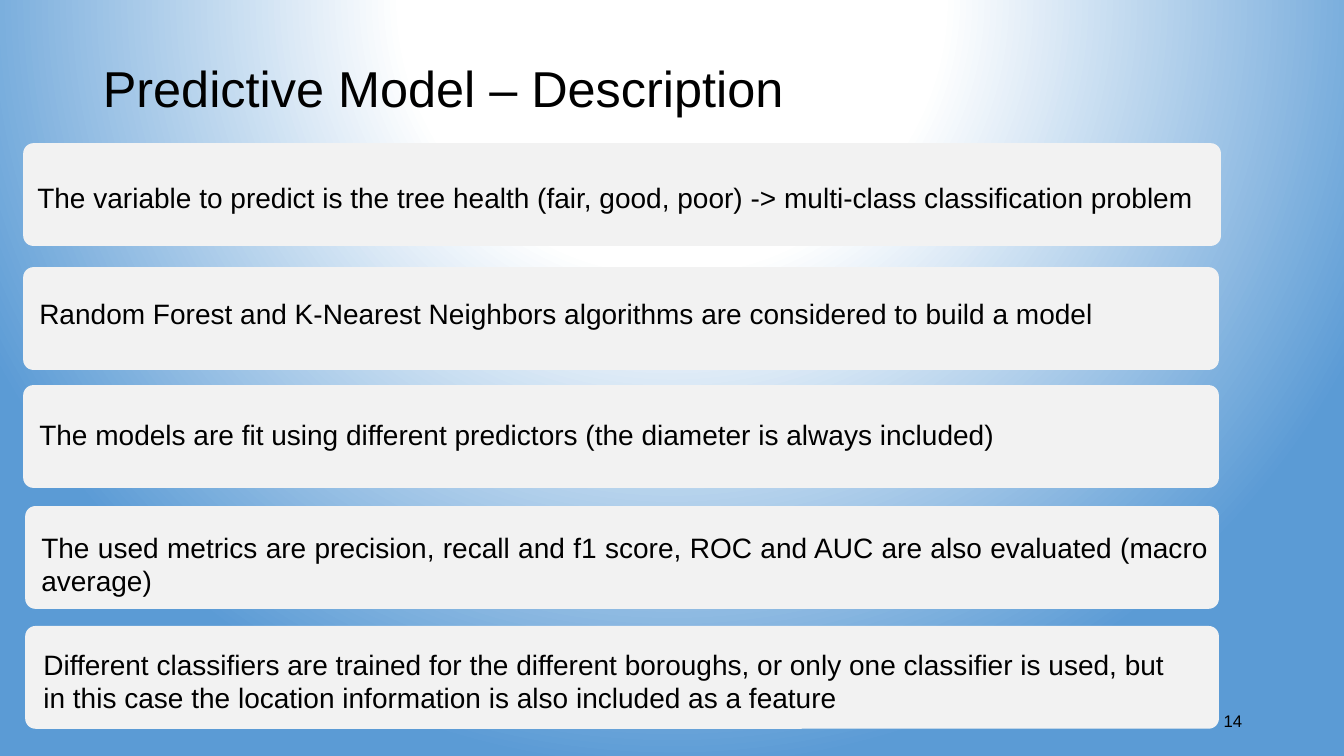
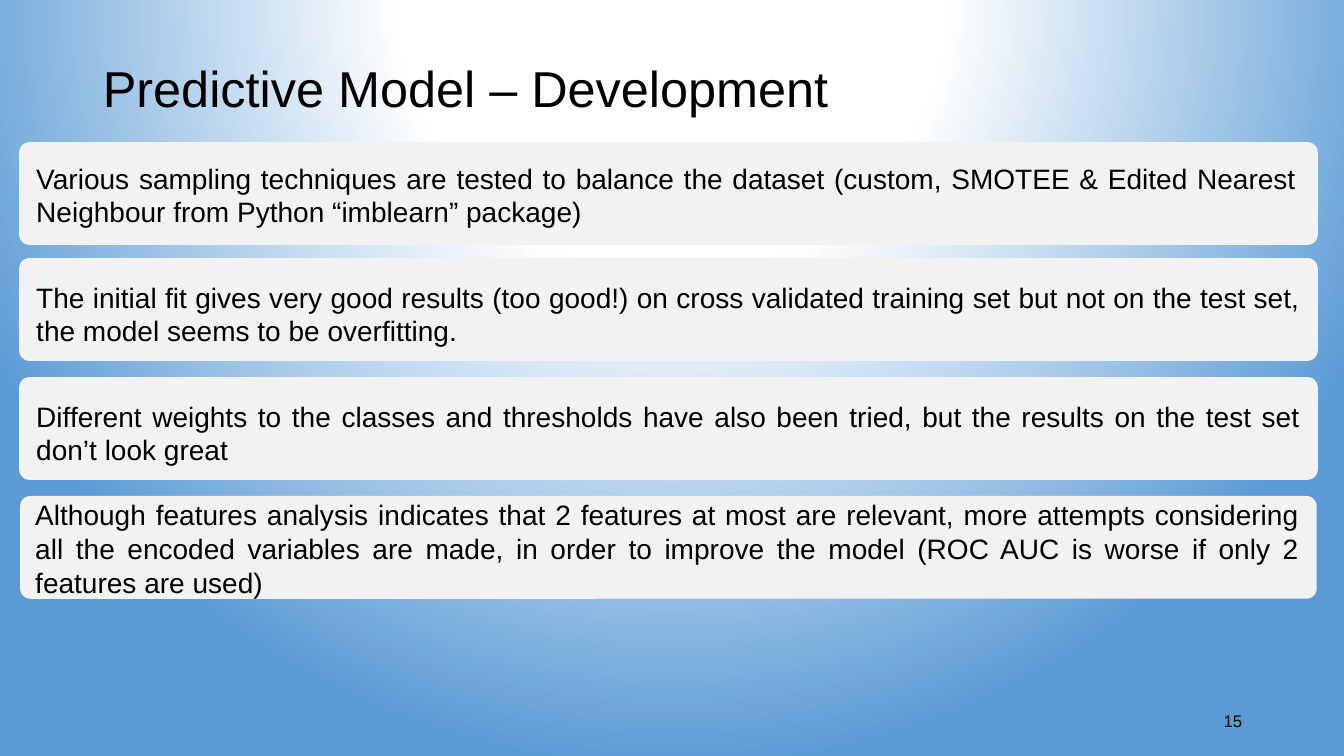
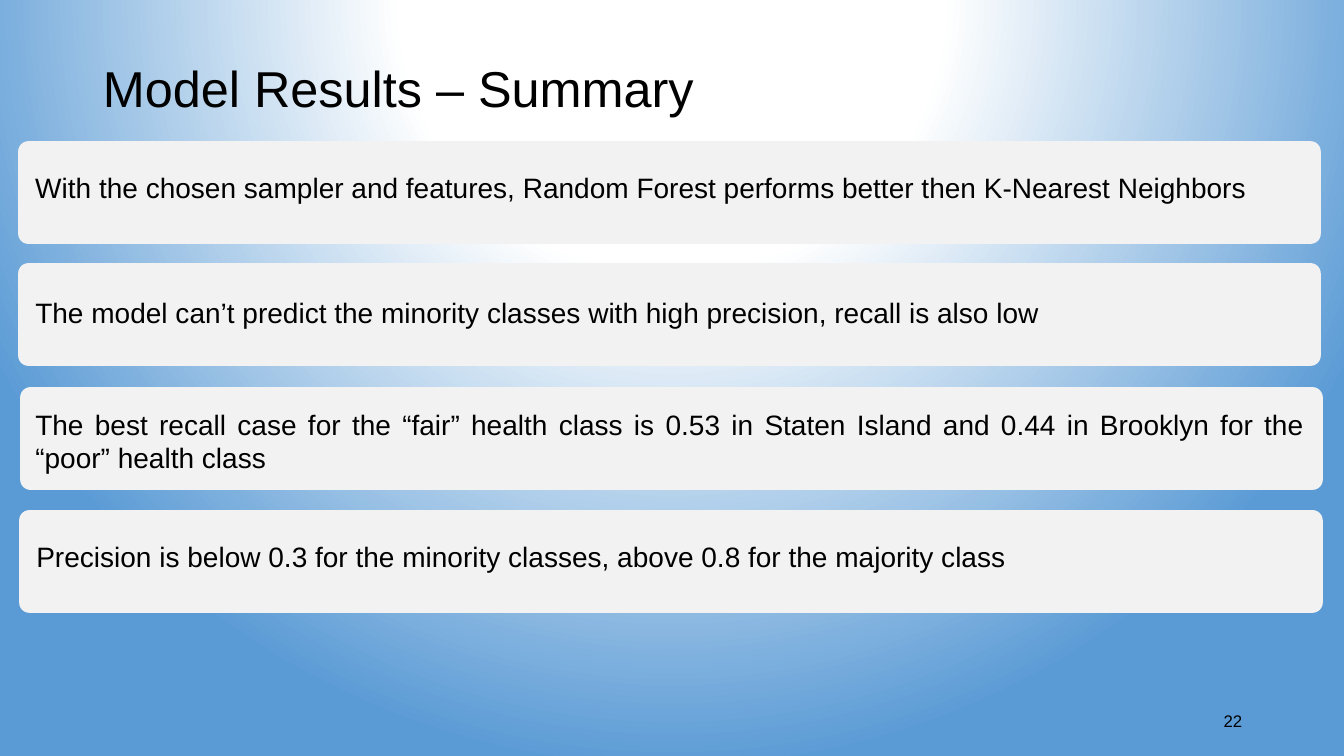
from pptx import Presentation
from pptx.dml.color import RGBColor
from pptx.enum.shapes import MSO_SHAPE
from pptx.enum.text import MSO_ANCHOR, MSO_AUTO_SIZE, PP_ALIGN
from pptx.oxml import parse_xml
from pptx.oxml.ns import nsdecls
from pptx.util import Inches, Pt

FONT = "Arial"
BLACK, WHITE, BLUE, CARD = "000000", "FFFFFF", "5B9BD5", "F2F2F2"
CARD_H, TEXT_H = 1.02, 0.73
LEFT, JUSTIFY = PP_ALIGN.LEFT, PP_ALIGN.JUSTIFY

# Each card: (left, top, width), text (left, top, width), alignment, line spacing, text
SLIDES = [
    ("Predictive Model – Description", 14, [
        ((0.23, 1.42, 11.88), (0.21, 1.58, 11.82), LEFT, 1.5,
         "The variable to predict is the tree health (fair, good, poor) -> "
         "multi-class classification problem"),
        ((0.23, 2.65, 11.86), (0.23, 2.89, 11.86), LEFT, 1.0,
         "Random Forest and K-Nearest Neighbors algorithms are considered to build a model"),
        ((0.23, 3.82, 11.86), (0.23, 4.09, 11.53), JUSTIFY, 1.0,
         "The models are fit using different predictors (the diameter is always included)"),
        ((0.25, 5.02, 11.84), (0.25, 5.21, 11.84), JUSTIFY, 1.0,
         "The used metrics are precision, recall and f1 score, ROC and AUC are also "
         "evaluated (macro average)"),
        ((0.25, 6.21, 11.84), (0.27, 6.37, 11.58), LEFT, 1.0,
         "Different classifiers are trained for the different boroughs, or only one classifier "
         "is used, but in this case the location information is also included as a feature"),
    ]),
    ("Predictive Model – Development", 15, [
        ((0.19, 1.41, 12.88), (0.2, 1.55, 12.76), JUSTIFY, 1.0,
         "Various sampling techniques are tested to balance the dataset (custom, SMOTEE & "
         "Edited Nearest Neighbour from Python “imblearn” package)"),
        ((0.19, 2.56, 12.88), (0.2, 2.73, 12.8), JUSTIFY, 1.0,
         "The initial fit gives very good results (too good!) on cross validated training set "
         "but not on the test set, the model seems to be overfitting."),
        ((0.19, 3.74, 12.88), (0.2, 3.91, 12.8), JUSTIFY, 1.0,
         "Different weights to the classes and thresholds have also been tried, but the results "
         "on the test set don’t look great"),
        ((0.2, 4.92, 12.86), (0.19, 4.89, 12.8), JUSTIFY, 1.0,
         "Although features analysis indicates that 2 features at most are relevant, more "
         "attempts considering all the encoded variables are made, in order to improve the "
         "model (ROC AUC is worse if only 2 features are used)"),
    ]),
    ("Model Results – Summary", 22, [
        ((0.18, 1.4, 12.92), (0.19, 1.64, 12.8), JUSTIFY, 1.0,
         "With the chosen sampler and features, Random Forest performs better then "
         "K-Nearest Neighbors"),
        ((0.18, 2.61, 12.92), (0.19, 2.88, 12.85), JUSTIFY, 1.0,
         "The model can’t predict the minority classes with high precision, recall is also low"),
        ((0.2, 3.84, 12.92), (0.19, 3.99, 12.85), JUSTIFY, 1.0,
         "The best recall case for the “fair” health class is 0.53 in Staten Island and 0.44 in "
         "Brooklyn for the “poor” health class"),
        ((0.19, 5.06, 12.93), (0.2, 5.3, 12.65), JUSTIFY, 1.0,
         "Precision is below 0.3 for the minority classes, above 0.8 for the majority class"),
    ]),
]


def rgb(color):
    return RGBColor.from_string(color)


def write(sp, text, size, align, spacing=1.0, anchor=MSO_ANCHOR.TOP):
    """Fill a shape with one formatted paragraph and return that paragraph."""
    tf = sp.text_frame
    tf.text = text
    tf.word_wrap = True
    tf.auto_size = MSO_AUTO_SIZE.NONE
    tf.vertical_anchor = anchor
    p = tf.paragraphs[0]
    p.alignment = align
    p.line_spacing = spacing
    p.font.name = FONT
    p.font.size = Pt(size)
    p.font.color.rgb = rgb(BLACK)
    return p


prs = Presentation()
prs.slide_width, prs.slide_height = Inches(13.33), Inches(7.5)

# Circular gradient background, shared through the master
master = prs.slide_master
master.background.fill.gradient()
gradient = master.element.xpath("p:cSld/p:bg/p:bgPr/a:gradFill")[0]
stops = "".join(
    f'<a:gs pos="{pos * 1000}"><a:srgbClr val="{color}"/></a:gs>'
    for pos, color in ((0, WHITE), (35, WHITE), (100, BLUE)))
gradient.getparent().replace(gradient, parse_xml(
    f'<a:gradFill {nsdecls("a")} rotWithShape="1"><a:gsLst>{stops}</a:gsLst>'
    '<a:path path="circle"><a:fillToRect l="50000" t="-80000" r="50000" b="180000"/></a:path>'
    '</a:gradFill>'))

for title, number, cards in SLIDES:
    s = prs.slides.add_slide(prs.slide_layouts[5])
    sp = s.shapes.title
    sp.left, sp.top, sp.width, sp.height = (Inches(v) for v in (0.92, 0.4, 11.5, 1))
    write(sp, title, 36, LEFT, 0.9, MSO_ANCHOR.MIDDLE)

    for card_at, text_at, align, spacing, text in cards:
        card = s.shapes.add_shape(MSO_SHAPE.ROUNDED_RECTANGLE,
                                  *(Inches(v) for v in (*card_at, CARD_H)))
        card.adjustments[0] = 0.1
        card.shadow.inherit = False
        card.fill.solid()
        card.fill.fore_color.rgb = rgb(CARD)
        card.line.fill.background()

        box = s.shapes.add_textbox(*(Inches(v) for v in (*text_at, TEXT_H)))
        p = write(box, text, 20, align, spacing)
        p.space_after = Pt(6)
        box.text_frame.margin_left = Inches(0.16)

    box = s.shapes.add_textbox(*(Inches(v) for v in (9.42, 6.95, 3, 0.4)))
    write(box, str(number), 12, PP_ALIGN.RIGHT, anchor=MSO_ANCHOR.MIDDLE)

prs.save("out.pptx")
